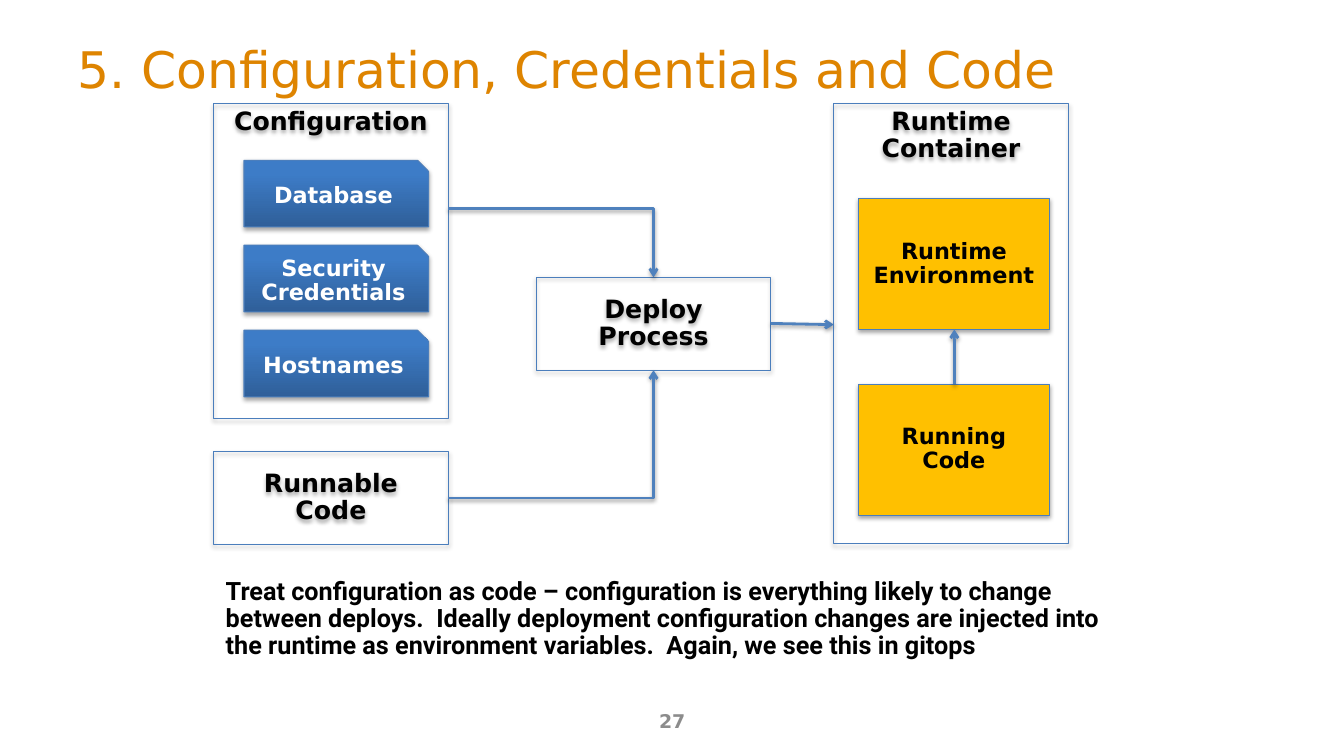
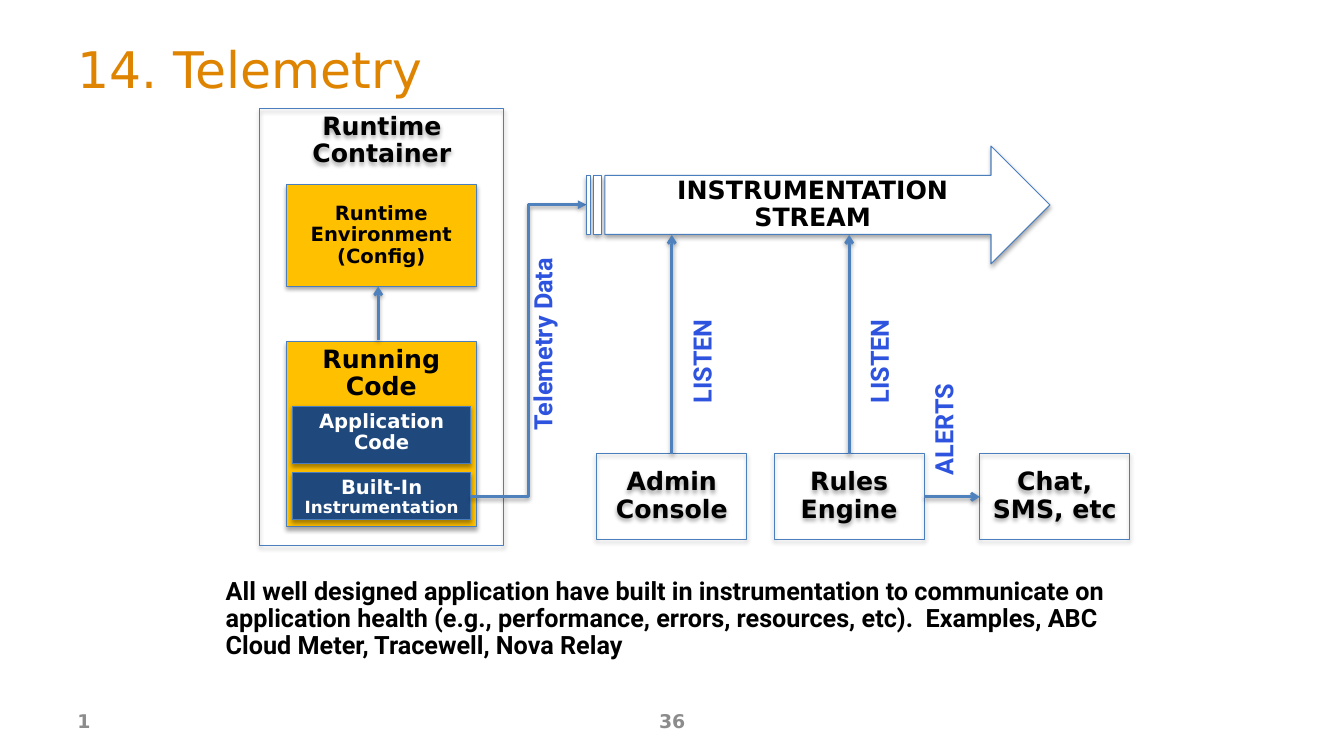
from dataclasses import dataclass
from typing import Optional

from lxml.etree import SubElement
from pptx import Presentation
from pptx.dml.color import RGBColor
from pptx.enum.shapes import MSO_CONNECTOR, MSO_SHAPE
from pptx.enum.text import MSO_ANCHOR, PP_ALIGN
from pptx.oxml.ns import qn
from pptx.util import Cm, Pt

COLORS = {
    "title": "DE8400",
    "footer": "8C8C8C",
    "text": "000000",
    "white": "FFFFFF",
    "outline": "4B7EBC",
    "arrow": "4F81BD",
    "label": "2E53DF",
    "amber": "FFC000",
    "navy": "1F497D",
    "blue_dark": "2F5F99",
    "blue_light": "3D7CC7",
}
HEADING_FONT = "DejaVu Sans"
BODY_FONT = "Roboto"
LINE_SPACING = 0.9


@dataclass
class Box:
    """A labelled shape; lengths in centimetres."""
    text: str
    left: float
    top: float
    width: float
    height: float
    fill: Optional[str] = None
    size: float = 18
    last_size: Optional[float] = None
    color: str = "text"
    anchor: MSO_ANCHOR = MSO_ANCHOR.MIDDLE
    kind: MSO_SHAPE = MSO_SHAPE.RECTANGLE


@dataclass
class Arrow:
    """A connector pointing at its end; lengths in centimetres."""
    start: tuple[float, float]
    end: tuple[float, float]
    geometry: str = "line"
    head: str = "arrow"


@dataclass
class SideLabel:
    """Text that reads upwards, placed by its frame before rotation."""
    text: str
    left: float
    top: float
    width: float
    height: float = 0.97


# Shared formatting
def rgb(name: str) -> RGBColor:
    return RGBColor.from_string(COLORS[name])


def write_text(shape, text: str, *, size: float = 18, last_size: Optional[float] = None,
               font: str = HEADING_FONT, color: str = "text", bold: bool = True,
               align: PP_ALIGN = PP_ALIGN.CENTER, anchor: MSO_ANCHOR = MSO_ANCHOR.TOP,
               spacing: float = LINE_SPACING) -> None:
    frame = shape.text_frame
    frame.word_wrap = True
    frame.vertical_anchor = anchor
    frame.text = text
    for paragraph in frame.paragraphs:
        paragraph.alignment = align
        paragraph.line_spacing = spacing
        run_font = paragraph.runs[0].font
        run_font.name = font
        run_font.size = Pt(size)
        run_font.bold = bold
        run_font.color.rgb = rgb(color)
    if last_size:
        frame.paragraphs[-1].runs[0].font.size = Pt(last_size)


def add_text(slide, text: str, left: float, top: float, width: float, height: float, **text_format):
    text_box = slide.shapes.add_textbox(Cm(left), Cm(top), Cm(width), Cm(height))
    write_text(text_box, text, **text_format)
    return text_box


def add_shadow(shape, distance: int, opacity: int) -> None:
    effects = SubElement(shape._element.spPr, qn("a:effectLst"))
    shadow = SubElement(effects, qn("a:outerShdw"), blurRad="40000", dist=str(distance),
                        dir="5400000", rotWithShape="0")
    shadow_color = SubElement(shadow, qn("a:srgbClr"), val=COLORS["text"])
    SubElement(shadow_color, qn("a:alpha"), val=str(opacity * 1000))


# Diagram parts
def draw_box(slide, box: Box) -> None:
    shape = slide.shapes.add_shape(box.kind, Cm(box.left), Cm(box.top), Cm(box.width), Cm(box.height))
    if box.fill == "gradient":
        shape.fill.gradient()
        shape.fill.gradient_angle = 90
        dark, light = shape.fill.gradient_stops
        dark.color.rgb, dark.position = rgb("blue_dark"), 0
        light.color.rgb, light.position = rgb("blue_light"), 0.8
    elif box.fill:
        shape.fill.solid()
        shape.fill.fore_color.rgb = rgb(box.fill)
    else:
        shape.fill.background()
    shape.line.color.rgb = rgb("outline")
    shape.line.width = Pt(0.75)
    add_shadow(shape, 23000, 35)
    write_text(shape, box.text, size=box.size, last_size=box.last_size,
               color=box.color, anchor=box.anchor)


def draw_arrow(slide, arrow: Arrow) -> None:
    connector_type = MSO_CONNECTOR.STRAIGHT if arrow.geometry == "line" else MSO_CONNECTOR.ELBOW
    points = [Cm(value) for value in (*arrow.start, *arrow.end)]
    connector = slide.shapes.add_connector(connector_type, *points)
    connector._element.spPr.find(qn("a:prstGeom")).set("prst", arrow.geometry)
    connector.line.color.rgb = rgb("arrow")
    connector.line.width = Pt(2)
    SubElement(connector.line._get_or_add_ln(), qn("a:tailEnd"), type=arrow.head)
    add_shadow(connector, 20000, 38)


def draw_side_label(slide, label: SideLabel) -> None:
    text_box = add_text(slide, label.text, label.left, label.top, label.width, label.height,
                        font=BODY_FONT, color="label")
    text_box.rotation = 270


def add_diagram_slide(presentation, title: str, note: str, page: str, parts: list,
                      left_footer: Optional[str] = None) -> None:
    slide = presentation.slides.add_slide(presentation.slide_layouts[6])
    add_text(slide, title, 1.7, 0.76, 30.48, 1.93, size=36, color="title", bold=False,
             align=PP_ALIGN.LEFT, anchor=MSO_ANCHOR.MIDDLE, spacing=1.0)
    footer = dict(size=13.5, color="footer", anchor=MSO_ANCHOR.MIDDLE, spacing=1.0)
    add_text(slide, page, 11.58, 17.65, 10.72, 1.02, **footer)
    if left_footer:
        add_text(slide, left_footer, 1.7, 17.65, 7.9, 1.02, align=PP_ALIGN.LEFT, **footer)
    add_text(slide, note, 5.44, 14.45, 23.37, 2.34, font=BODY_FONT, align=PP_ALIGN.LEFT)
    draw = {Box: draw_box, Arrow: draw_arrow, SideLabel: draw_side_label}
    for part in parts:
        draw[type(part)](slide, part)


# Slide contents
def configuration_parts() -> list:
    column, process_height = 5.92, 2.34
    sources = ("Database", "Security Credentials", "Hostnames")
    return [
        Box("Configuration", 5.38, 2.62, column, 7.92, anchor=MSO_ANCHOR.TOP),
        Box("Deploy Process", 13.51, 6.99, column, process_height),
        Box("Runnable\nCode", 5.38, 11.38, column, process_height),
        Arrow((19.43, 8.15), (21.01, 8.18)),
        *(Box(source, 6.15, 4.04 + 2.14 * index, 4.65, 1.68, fill="gradient", size=16,
              color="white", kind=MSO_SHAPE.SNIP_1_RECTANGLE)
          for index, source in enumerate(sources)),
        Box("Runtime\nContainer", 21.01, 2.62, column, 11.07, anchor=MSO_ANCHOR.TOP),
        *(Box(text, 21.64, top, 4.8, 3.3, fill="amber", size=16)
          for text, top in (("Runtime Environment", 5), ("Running Code", 9.68))),
        Arrow((24.05, 9.68), (24.05, 8.3)),
        Arrow((11.3, 5.26), (16.47, 6.99), "bentConnector2"),
        Arrow((11.3, 12.55), (16.47, 9.33), "bentConnector2"),
    ]


def telemetry_parts() -> list:
    consumers = (("Admin\nConsole", 15.04), ("Rules\nEngine", 19.51), ("Chat, SMS, etc", 24.69))
    parts = [
        Box("Runtime\nContainer", 6.55, 2.74, 6.15, 11, anchor=MSO_ANCHOR.TOP),
        Box("Runtime Environment\n(Config)", 7.21, 4.65, 4.8, 2.57, fill="amber", size=14),
        Box("Running Code", 7.21, 8.61, 4.8, 4.67, fill="amber", anchor=MSO_ANCHOR.TOP),
        Arrow((9.53, 8.56), (9.53, 7.22)),
        Box("Built-In\nInstrumentation", 7.37, 11.91, 4.5, 1.19, fill="navy", size=14,
            last_size=12, color="white", anchor=MSO_ANCHOR.TOP),
        Arrow((11.86, 12.52), (14.78, 5.16), "bentConnector3", "triangle"),
        SideLabel("Telemetry Data", 11.61, 7.85, 4.93, 1.65),
        Box("Application\nCode", 7.37, 10.24, 4.5, 1.45, fill="navy", size=14,
            color="white", anchor=MSO_ANCHOR.TOP),
        Box("INSTRUMENTATION STREAM", 14.78, 3.68, 11.68, 2.97, fill="white",
            kind=MSO_SHAPE.STRIPED_RIGHT_ARROW),
    ]
    parts += [Box(text, left, 11.43, 3.78, 2.16) for text, left in consumers]
    for _, left in consumers[:2]:
        center = left + 1.89
        parts += [Arrow((center, 11.43), (center, 5.92)),
                  SideLabel("LISTEN", left + 1.22, 8.62, 2.97)]
    return parts + [Arrow((23.29, 12.52), (24.69, 12.52)),
                    SideLabel("ALERTS", 22.07, 10.34, 3.53)]


def main() -> None:
    presentation = Presentation()
    presentation.slide_width = Cm(33.87)
    presentation.slide_height = Cm(19.05)
    add_diagram_slide(
        presentation, "5. Configuration, Credentials and Code",
        "Treat configuration as code – configuration is everything likely to change between "
        "deploys.  Ideally deployment configuration changes are injected into the runtime as "
        "environment variables.  Again, we see this in gitops",
        "27", configuration_parts())
    add_diagram_slide(
        presentation, "14. Telemetry",
        "All well designed application have built in instrumentation to communicate on "
        "application health (e.g., performance, errors, resources, etc).  Examples, ABC "
        "Cloud Meter, Tracewell, Nova Relay",
        "36", telemetry_parts(), left_footer="1")
    presentation.save("out.pptx")


if __name__ == "__main__":
    main()
